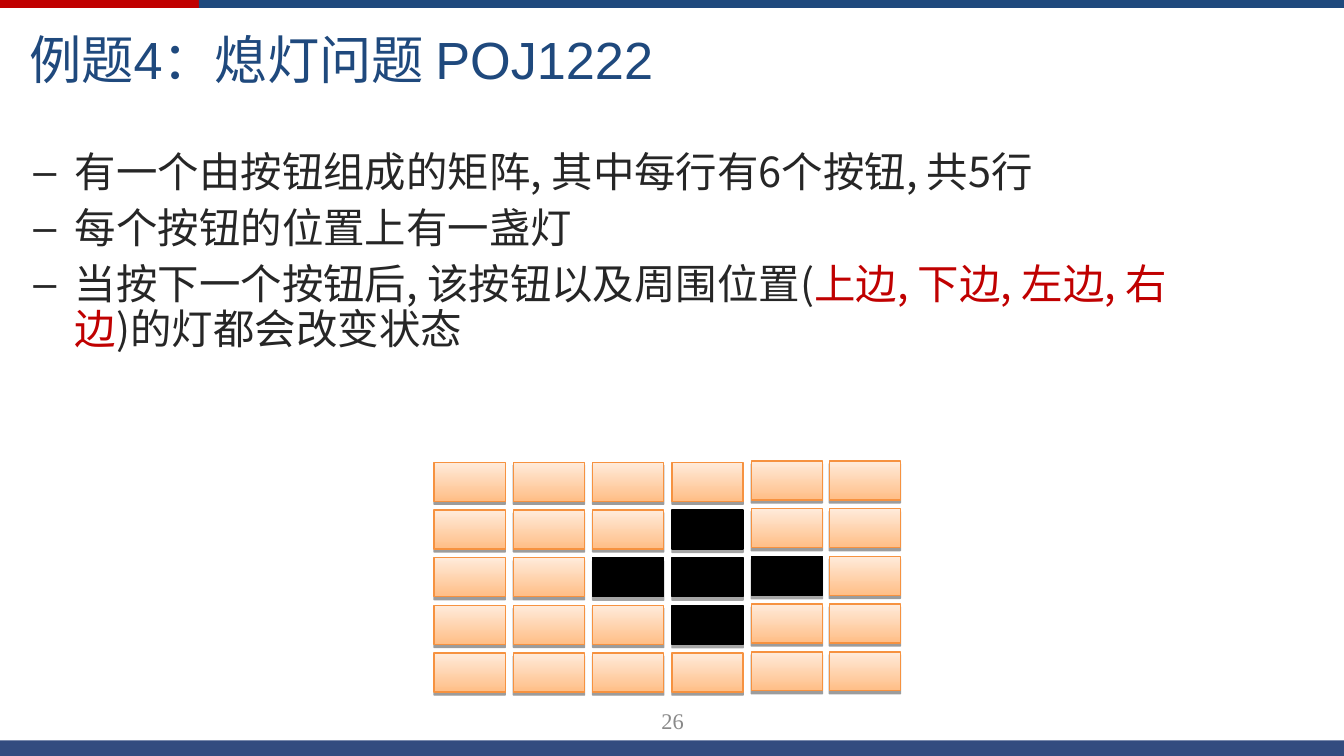
from lxml.etree import SubElement
from pptx import Presentation
from pptx.dml.color import RGBColor
from pptx.enum.shapes import MSO_SHAPE
from pptx.enum.text import MSO_ANCHOR, PP_ALIGN
from pptx.oxml.ns import qn
from pptx.util import Inches, Pt

COLORS = {
    "red": "C00000", "blue": "1F497D", "navy": "002060",
    "ink": "262626", "gray": "898989", "black": "000000",
    "rim": "F69240", "deep": "FFBE86", "pale": "FFEBDB",
}
CJK = "Noto Sans CJK SC"
TITLE = "例题4：熄灯问题 POJ1222"
NUMBER = "26"
BODY = [
    [("有一个由按钮组成的矩阵, 其中每行有6个按钮, 共5行", "ink")],
    [("每个按钮的位置上有一盏灯", "ink")],
    [("当按下一个按钮后, 该按钮以及周围位置(", "ink"),
     ("上边, 下边, 左边, 右边", "red"),
     (")的灯都会改变状态", "ink")],
]
BARS = [
    ((0, 0, 10, 0.06), "red", 100),
    ((1.48, 0, 8.52, 0.06), "blue", 100),
    ((0, 5.51, 10, 0.12), "navy", 80),
]
LIGHTS = [
    "oooooo",
    "ooo#oo",
    "oo###o",
    "ooo#oo",
    "oooooo",
]
LEFTS = [3.23, 3.82, 4.41, 5, 5.59, 6.17]
TOP, LAST = 3.44, 4.86
STEP = (LAST - TOP) / (len(LIGHTS) - 1)
WIDE, HIGH = 0.53, 0.29
RAISED, LIFT = (4, 5), 0.01


def color(name):
    return RGBColor.from_string(COLORS[name])


def add_rect(slide, at):
    rect = slide.shapes.add_shape(MSO_SHAPE.RECTANGLE, *map(Inches, at))
    rect.shadow.inherit = False
    return rect


def add_bar(slide, at, fill, alpha):
    bar = add_rect(slide, at)
    bar.line.fill.background()
    bar.fill.solid()
    bar.fill.fore_color.rgb = color(fill)
    if alpha < 100:
        tint = bar._element.spPr.find(".//" + qn("a:srgbClr"))
        SubElement(tint, qn("a:alpha"), val=str(alpha * 1000))


def add_shadow(shape, alpha, dist):
    effects = shape._element.spPr.find(qn("a:effectLst"))
    outer = SubElement(effects, qn("a:outerShdw"), blurRad="0",
                       dist=str(Pt(dist)), dir="5400000", rotWithShape="0")
    tint = SubElement(outer, qn("a:srgbClr"), val=COLORS["black"])
    SubElement(tint, qn("a:alpha"), val=str(alpha * 1000))


def add_light(slide, row, col, dark):
    top = TOP + row * STEP - (LIFT if col in RAISED else 0)
    light = add_rect(slide, (LEFTS[col], top, WIDE, HIGH))
    light.line.color.rgb = color("black" if dark else "rim")
    light.line.width = Pt(0.75)
    if dark:
        light.fill.solid()
        light.fill.fore_color.rgb = color("black")
        add_shadow(light, 35, 1.8)
    else:
        light.fill.gradient()
        light.fill.gradient_angle = 90
        for stop, name, place in zip(light.fill.gradient_stops,
                                     ("deep", "pale"), (0, 1)):
            stop.color.rgb = color(name)
            stop.position = place
        add_shadow(light, 38, 1.6)


def add_box(slide, at, anchor):
    frame = slide.shapes.add_textbox(*map(Inches, at)).text_frame
    frame.word_wrap = True
    frame.vertical_anchor = anchor
    return frame


def add_run(para, text, size, font, tint):
    run = para.add_run()
    run.text = text
    run.font.size = Pt(size)
    run.font.name = font
    run.font.color.rgb = color(tint)
    SubElement(run.font._element, qn("a:ea"), typeface=CJK)


def add_dash(para):
    props = para._p.get_or_add_pPr()
    props.set("lvl", "1")
    props.set("marL", str(Inches(0.81)))
    props.set("indent", str(Inches(-0.31)))
    tint = SubElement(props, qn("a:buClr"))
    SubElement(tint, qn("a:srgbClr"), val=COLORS["ink"])
    SubElement(props, qn("a:buFont"), typeface="Arial")
    SubElement(props, qn("a:buChar"), char="–")


def add_body(slide):
    frame = add_box(slide, (-0.35, 1.08, 9.17, 1.97), MSO_ANCHOR.TOP)
    for index, runs in enumerate(BODY):
        para = frame.add_paragraph() if index else frame.paragraphs[0]
        add_dash(para)
        para.line_spacing = 0.9
        if index:
            para.space_before = Pt(6)
        for text, tint in runs:
            add_run(para, text, 22.2, CJK, tint)


def main():
    deck = Presentation()
    deck.slide_width = Inches(10)
    deck.slide_height = deck.slide_width * 9 // 16
    slide = deck.slides.add_slide(deck.slide_layouts[6])
    for bar in BARS:
        add_bar(slide, *bar)
    add_body(slide)
    number = add_box(slide, (3.42, 5.21, 3.17, 0.3), MSO_ANCHOR.MIDDLE)
    number.paragraphs[0].alignment = PP_ALIGN.CENTER
    add_run(number.paragraphs[0], NUMBER, 12, "Times New Roman", "gray")
    for row, marks in enumerate(LIGHTS):
        for col, mark in enumerate(marks):
            add_light(slide, row, col, mark == "#")
    title = add_box(slide, (0.12, 0, 9.14, 0.87), MSO_ANCHOR.MIDDLE)
    add_run(title.paragraphs[0], TITLE, 28, "Arial", "blue")
    deck.save("out.pptx")


if __name__ == "__main__":
    main()
